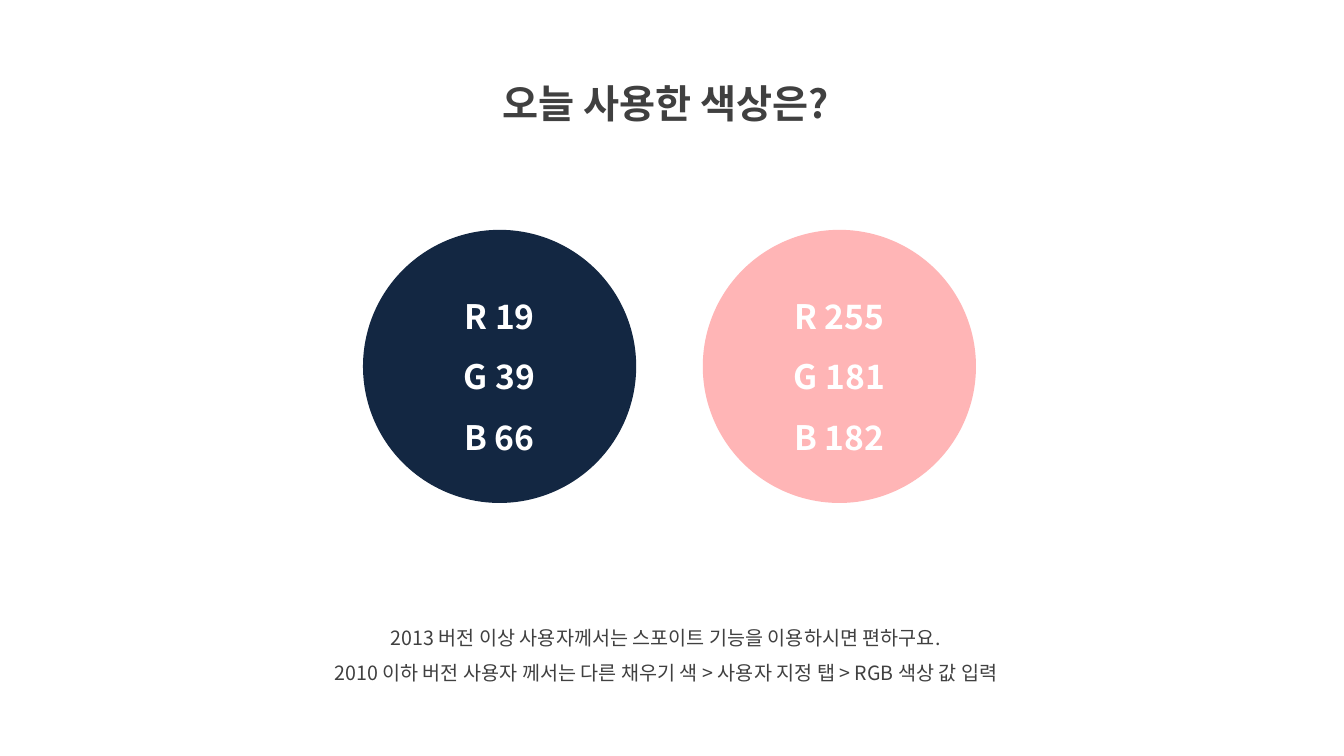
from lxml.etree import SubElement
from pptx import Presentation
from pptx.dml.color import RGBColor
from pptx.enum.shapes import MSO_SHAPE as Shape
from pptx.enum.text import MSO_ANCHOR as Anchor, MSO_AUTO_SIZE as AutoSize, PP_ALIGN as Align
from pptx.oxml.ns import qn
from pptx.util import Inches, Pt


def color(hex_string):
    return RGBColor.from_string(hex_string)


class SlideBuilder:
    font = "Noto Sans CJK KR"
    ink = "404040"
    light = "FFFFFF"
    line_spacing = 1.5

    def __init__(self, page):
        self.page = page

    def add_lines(self, frame, lines, size, ink, bold=False):
        """Fill a text frame with centred lines, one paragraph each."""
        frame.word_wrap = True
        for index, line in enumerate(lines):
            para = frame.add_paragraph() if index else frame.paragraphs[0]
            para.alignment = Align.CENTER
            para.line_spacing = self.line_spacing
            para.space_before = Pt(0)
            properties = para._p.get_or_add_pPr()
            properties.set("marL", "0")
            properties.set("indent", "0")
            SubElement(properties, qn("a:buNone"))
            span = para.add_run()
            span.text = line
            span.font.size = Pt(size)
            span.font.bold = bold
            span.font.color.rgb = color(ink)
            span.font.name = self.font
            east_asian = SubElement(span._r.get_or_add_rPr(), qn("a:ea"))
            east_asian.set("typeface", self.font)

    def placeholder(self, index, left, top, width, height, lines, size, bold=False):
        box = self.page.placeholders[index]
        box.left, box.top = Inches(left), Inches(top)
        box.width, box.height = Inches(width), Inches(height)
        frame = box.text_frame
        frame.auto_size = AutoSize.SHAPE_TO_FIT_TEXT
        frame.vertical_anchor = Anchor.TOP
        self.add_lines(frame, lines, size, self.ink, bold)

    def swatch(self, left, top, diameter, rgb):
        """Draw a circle filled with the colour whose values it lists."""
        circle = self.page.shapes.add_shape(
            Shape.OVAL, Inches(left), Inches(top), Inches(diameter), Inches(diameter))
        circle.shadow.inherit = False
        circle.fill.solid()
        circle.fill.fore_color.rgb = color("%02X%02X%02X" % rgb)
        circle.line.fill.background()
        circle.text_frame.vertical_anchor = Anchor.MIDDLE
        lines = [f"{channel} {value}" for channel, value in zip("RGB", rgb)]
        self.add_lines(circle.text_frame, lines, 24, self.light, bold=True)


deck = Presentation()
deck.slide_width, deck.slide_height = Inches(13.33), Inches(7.5)
slide = SlideBuilder(deck.slides.add_slide(deck.slide_layouts[1]))

# Title
slide.placeholder(0, 4.29, 0.5, 4.63, 0.72, ["오늘 사용한 색상은?"], 28, bold=True)

# Instructions for each program version
slide.placeholder(1, 2.61, 6.04, 7.99, 0.81, [
    "2013 버전 이상 사용자께서는 스포이트 기능을 이용하시면 편하구요.",
    "2010 이하 버전 사용자 께서는 다른 채우기 색 > 사용자 지정 탭 > RGB 색상 값 입력",
], 14)

# Colour swatches
diameter, gap = 2.71, 0.66
for column, rgb in enumerate([(19, 39, 66), (255, 181, 182)]):
    slide.swatch(3.6 + column * (diameter + gap), 2.28, diameter, rgb)

deck.save("out.pptx")
